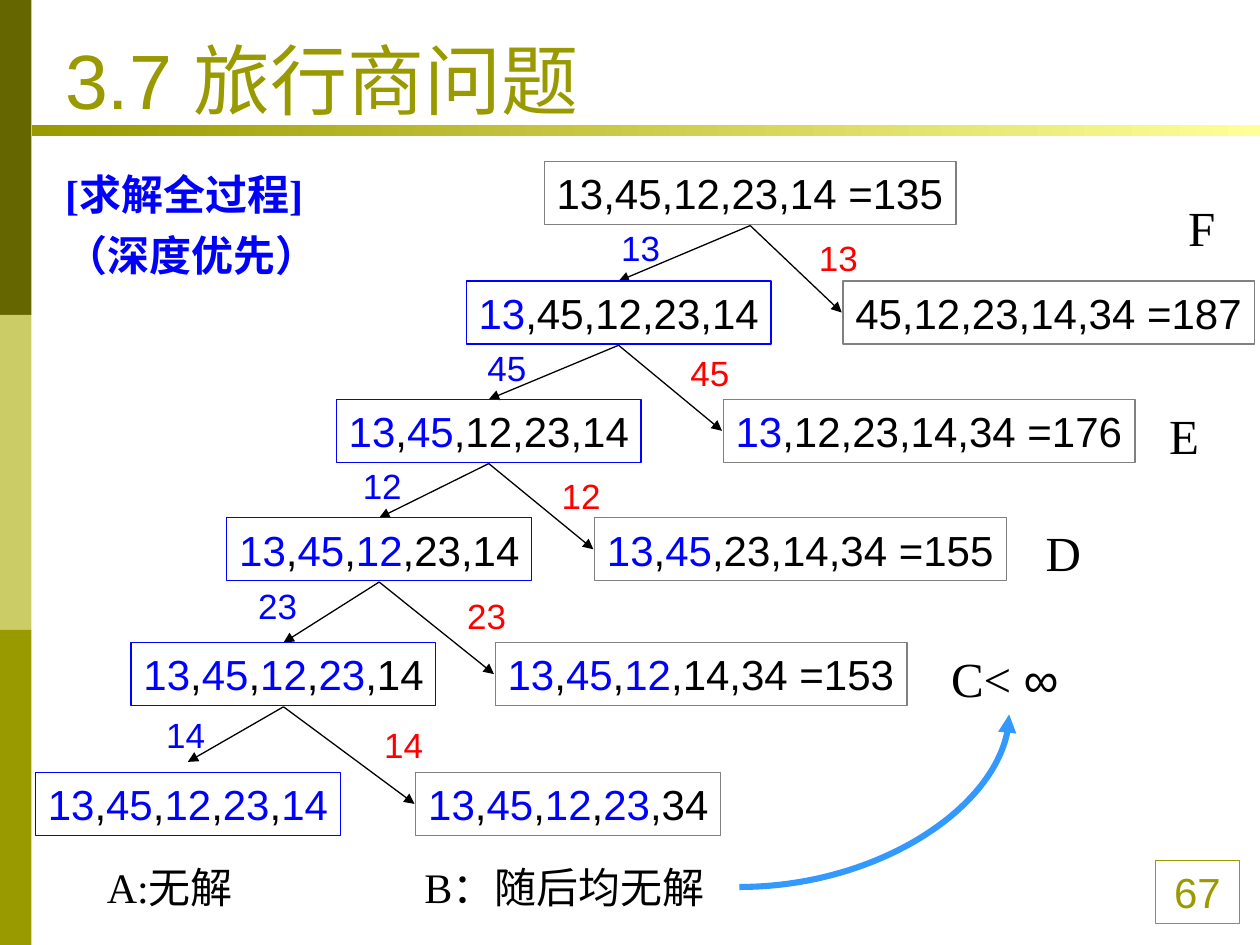
from lxml import etree
from pptx import Presentation
from pptx.dml import color
from pptx.enum import shapes, text
from pptx.oxml import ns
from pptx.util import Pt

ARIAL, TIMES = "Arial", "Times New Roman"
BLACK, BLUE, RED, GRAY, OLIVE = "000000", "0000FF", "FF0000", "808080", "999900"
EDGES = ["13", "45", "12", "23", "14"]
NODE_H, WIDE, SLIM = 36, 235.4, 174.2


def rgb(code):
    """Turn a hex string into a colour."""
    return color.RGBColor.from_string(code)


def write(shape, lines, size, font=ARIAL, bold=False, wrap=False):
    """Fill a shape with lines, each a list of (words, colour) runs."""
    frame = shape.text_frame
    frame.word_wrap = wrap
    frame.vertical_anchor = text.MSO_ANCHOR.TOP
    for i, runs in enumerate(lines):
        para = frame.paragraphs[0] if i == 0 else frame.add_paragraph()
        para.alignment = text.PP_ALIGN.LEFT
        if i:
            para.space_before = Pt(6)
        for words, code in runs:
            run = para.add_run()
            run.text = words
            run.font.size, run.font.name, run.font.bold = Pt(size), font, bold
            run.font.color.rgb = rgb(code)
    return frame


def label(slide, x, y, w, h, words, size, code=BLACK, font=TIMES, bold=False, wrap=False):
    """Place a text box with one run per line."""
    box = slide.shapes.add_textbox(Pt(x), Pt(y), Pt(w), Pt(h))
    lines = [[(line, code)] for line in words.split("\n")]
    return write(box, lines, size, font, bold, wrap)


def rect(slide, x, y, w, h, fill=None, line=None):
    """Draw a rectangle with an optional fill and outline."""
    box = slide.shapes.add_shape(shapes.MSO_SHAPE.RECTANGLE, Pt(x), Pt(y), Pt(w), Pt(h))
    box.shadow.inherit = False
    if fill:
        box.fill.solid()
        box.fill.fore_color.rgb = rgb(fill)
    else:
        box.fill.background()
    if line:
        box.line.color.rgb = rgb(line)
        box.line.width = Pt(0.75)
    else:
        box.line.fill.background()
    return box


def arrow(slide, start, end, code=BLACK, width=0.75, curved=False):
    """Join two points with an arrow, straight or bent in one curve."""
    kind = shapes.MSO_CONNECTOR.CURVE if curved else shapes.MSO_CONNECTOR.STRAIGHT
    link = slide.shapes.add_connector(kind, *(Pt(v) for v in (*start, *end)))
    link.line.color.rgb = rgb(code)
    link.line.width = Pt(width)
    props = link._element.spPr
    if curved:
        props.find(ns.qn("a:prstGeom")).set("prst", "curvedConnector2")
    etree.SubElement(link.line._get_or_add_ln(), ns.qn("a:tailEnd"), type="triangle")
    etree.SubElement(props, ns.qn("a:effectLst"))


def node(slide, x, y, w, edges, done, cost, line):
    """Draw a tree node whose first done edges are blue."""
    runs = []
    for edge in edges[:done]:
        runs += [(edge, BLUE), (",", BLACK)]
    rest = ",".join(edges[done:]) + cost
    if runs:
        runs.pop()
        rest = "," + rest if rest else ""
    if rest:
        runs.append((rest, BLACK))
    write(rect(slide, x, y, w, NODE_H, line=line), [runs], 24)


def tree(slide, x, y):
    """Draw the search tree with its root at the given corner."""
    node(slide, x, y, WIDE, EDGES, 0, " =135", GRAY)
    levels = [
        (-44.6, 170.7, 68.4, " =187", (36.8, 33.8), (149.8, 39.6)),
        (-118.8, 102.3, 136, " =176", (-39.6, 102.2), (76.4, 105.1)),
        (-181.4, 28.8, 203.7, " =155", (-110.8, 169.9), (2.9, 175.6)),
        (-236.1, -28, 275, " =153", (-170.6, 238.3), (-51.1, 244)),
        (-290.8, -73.4, 349.2, "", (-223.2, 311.7), (-98.6, 317.5)),
    ]
    top = (x + WIDE / 2, y + NODE_H + 0.7)
    for i, (left, right, drop, cost, take, skip) in enumerate(levels):
        last = i == len(levels) - 1
        row, mid = y + drop, x + left + SLIM / 2
        arrow(slide, top, (mid, row - 6 if last else row))
        arrow(slide, top, (x + right - 0.7, row + NODE_H / 2))
        node(slide, x + left, row, SLIM, EDGES, i + 1, "", BLUE)
        others = EDGES[:i] + EDGES[i + 1:] + ["34"]
        node(slide, x + right, row, SLIM if last else WIDE, others, i, cost, GRAY)
        for (dx, dy), code in ((take, BLUE), (skip, RED)):
            label(slide, x + dx, y + dy, 36.7, 31.7, EDGES[i], 20, code, ARIAL)
        top = (mid, row + NODE_H + 0.7)


def frame(slide, w, h):
    """Draw the side bar, title, rule and page number."""
    for i, code in enumerate(("666600", "CCCC66", OLIVE)):
        rect(slide, 0, i * h / 3, 18, h / 3, code)
    rule = rect(slide, 18, 71.3, w - 18, 6.5, OLIVE)
    rule.fill.gradient()
    rule.fill.gradient_angle = 0
    for stop, code in zip(rule.fill.gradient_stops, (OLIVE, "FFFF99")):
        stop.color.rgb = rgb(code)
    for stop, place in zip(rule.fill.gradient_stops, (0, 1)):
        stop.position = place
    title = label(slide, 30.2, 13, 648, 62, "3.7 旅行商问题", 44, OLIVE, ARIAL, wrap=True)
    title.vertical_anchor = text.MSO_ANCHOR.BOTTOM
    page = rect(slide, w - 59.8, h - 48.2, 48.2, 36, line=OLIVE)
    body = write(page, [[("67", OLIVE)]], 24, wrap=True)
    body.paragraphs[0].alignment = text.PP_ALIGN.CENTER


def notes(slide, x, y):
    """Write the heading and the remarks A to F."""
    label(slide, x, y, 162, 71.3, "[求解全过程]\n（深度优先）", 24, BLUE, bold=True)
    for dx, w, words in ((23.8, 102.2, "A:无解"), (205.2, 187.2, "B：随后均无解")):
        label(slide, x + dx, y + 396, w, 36, words, 24, wrap=True)
    steps = ((506.2, 274.3, 76.3, "C< "), (560.2, 202.3, 34.6, "D"),
             (630.8, 135.4, 31.7, "E"), (641.6, 16.6, 29.5, "F"))
    for dx, dy, w, words in steps:
        body = label(slide, x + dx, y + dy, w, 41, words, 28)
        if words == "C< ":
            run = body.paragraphs[0].add_run()
            run.text = "∞"
            run.font.size, run.font.name = Pt(28), ARIAL
            run.font.color.rgb = rgb(BLACK)
    arrow(slide, (x + 392.4, y + 414), (x + 546.5, y + 315.4), "3399FF", 3.5, True)


def main():
    """Build the slide and save it."""
    deck = Presentation()
    deck.slide_width, deck.slide_height = Pt(720), Pt(540)
    slide = deck.slides.add_slide(deck.slide_layouts[6])
    frame(slide, 720, 540)
    tree(slide, 311, 92.2)
    notes(slide, 30.2, 92.9)
    deck.save("out.pptx")


if __name__ == "__main__":
    main()
